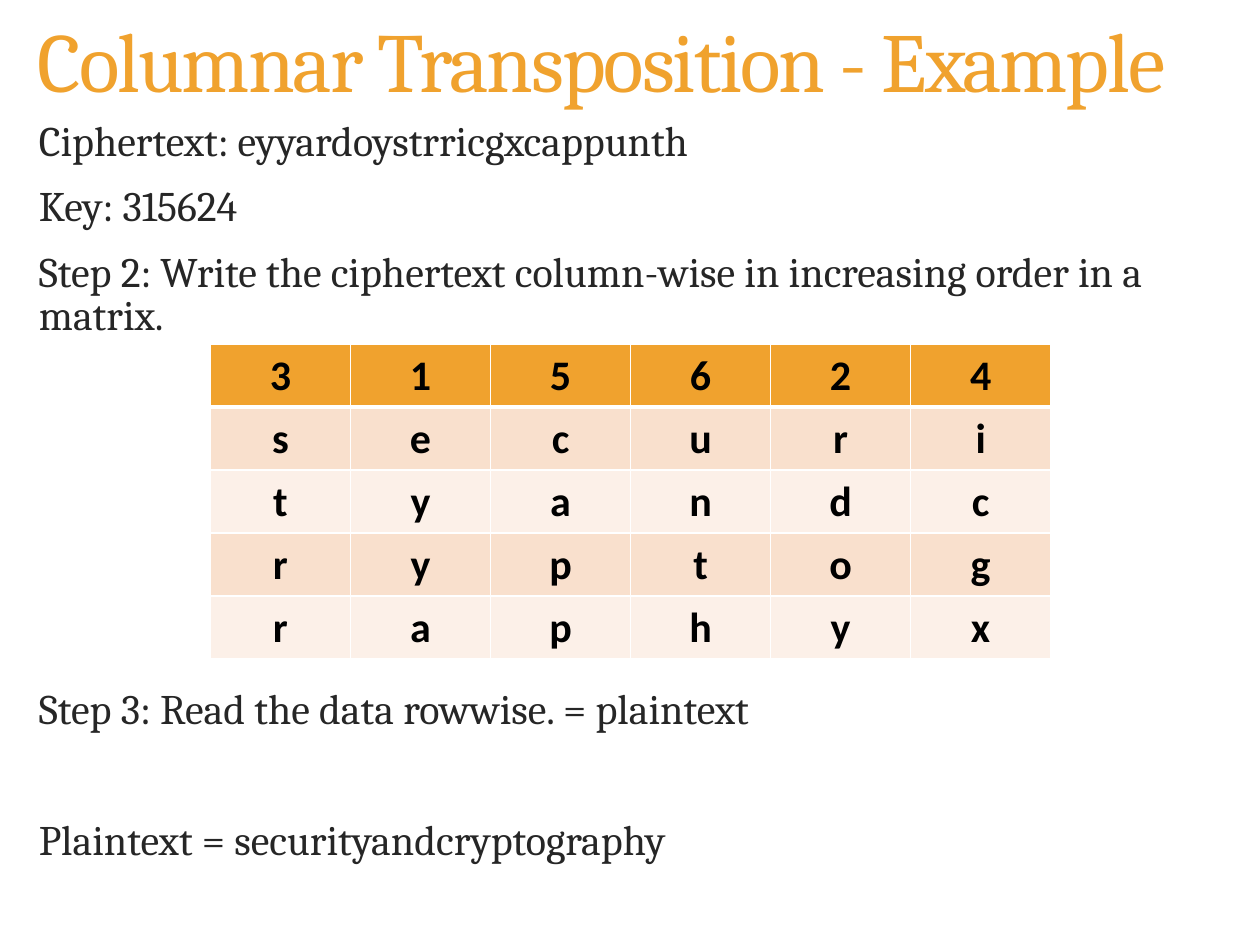
import pptx
import pptx.util
import pptx.dml.color
import pptx.enum.text
import pptx.oxml
import pptx.oxml.ns
from lxml import etree

Inches, Pt = pptx.util.Inches, pptx.util.Pt

COLORS = {
    "accent": "F0A22E",
    "text": "262626",
    "cell": "000000",
    "odd": "F9E0CD",
    "even": "FCF0E8",
    "border": "FFFFFF",
}
TITLE = "Columnar Transposition - Example"
STEPS = [
    ("Ciphertext: eyyardoystrricgxcappunth", 13),
    ("Key: 315624", 13),
    ("Step 2: Write the ciphertext column-wise in increasing order in a matrix.", 13),
    ("Step 3: Read the data rowwise. = plaintext", 200.5),
    ("Plaintext = securityandcryptography", 50.5),
]
KEY = "315624"
PLAINTEXT = "securityandcryptographyx"
MATRIX = [KEY] + [PLAINTEXT[i:i + len(KEY)] for i in range(0, len(PLAINTEXT), len(KEY))]
TABLE_LEFT, TABLE_TOP, TABLE_WIDTH, ROW_HEIGHT = 1.67, 2.73, 6.67, 0.5


def style_paragraph(paragraph, font_name, size, color, bold=False):
    for run in paragraph.runs:
        run.font.name = font_name
        run.font.size = Pt(size)
        run.font.bold = bold
        run.font.color.rgb = pptx.dml.color.RGBColor.from_string(COLORS[color])


def set_borders(cell, bottom_width, top_width):
    properties = cell._tc.get_or_add_tcPr()
    widths = {"lnL": 1, "lnR": 1, "lnT": top_width, "lnB": bottom_width}
    for position, (side, width) in enumerate(widths.items()):
        line = etree.Element(pptx.oxml.ns.qn(f"a:{side}"), w=str(Pt(width)))
        fill = etree.SubElement(line, pptx.oxml.ns.qn("a:solidFill"))
        etree.SubElement(fill, pptx.oxml.ns.qn("a:srgbClr"), val=COLORS["border"])
        properties.insert(position, line)


def add_title(slide):
    title = slide.shapes.title
    title.left, title.top = Inches(0.2), Inches(0)
    title.width, title.height = Inches(9.8), Inches(1.04)
    frame = title.text_frame
    frame.text = TITLE
    frame.auto_size = pptx.enum.text.MSO_AUTO_SIZE.NONE
    frame.vertical_anchor = pptx.enum.text.MSO_ANCHOR.MIDDLE
    paragraph = frame.paragraphs[0]
    paragraph.alignment = pptx.enum.text.PP_ALIGN.LEFT
    paragraph.line_spacing = 0.9
    style_paragraph(paragraph, "Cambria", 48, "accent")
    paragraph.runs[0].font._element.set("spc", "-120")


def add_steps(slide):
    box = slide.shapes.add_textbox(Inches(0.21), Inches(0.92), Inches(9.58), Inches(6))
    frame = box.text_frame
    frame.word_wrap = True
    frame.text = "\n".join(text for text, _ in STEPS)
    for paragraph, (_, space_before) in zip(frame.paragraphs, STEPS):
        paragraph.line_spacing = 0.85
        paragraph.space_before = Pt(space_before)
        style_paragraph(paragraph, "Cambria", 24, "text")


def add_matrix(slide):
    table = slide.shapes.add_table(
        len(MATRIX), len(KEY), Inches(TABLE_LEFT), Inches(TABLE_TOP),
        Inches(TABLE_WIDTH), Inches(ROW_HEIGHT * len(MATRIX))).table
    for row, letters in enumerate(MATRIX):
        fill = "accent" if row == 0 else "odd" if row % 2 else "even"
        for column, letter in enumerate(letters):
            cell = table.cell(row, column)
            cell.text = letter
            paragraph = cell.text_frame.paragraphs[0]
            paragraph.alignment = pptx.enum.text.PP_ALIGN.CENTER
            style_paragraph(paragraph, "Calibri", 24, "cell", bold=True)
            cell.fill.solid()
            cell.fill.fore_color.rgb = pptx.dml.color.RGBColor.from_string(COLORS[fill])
            set_borders(cell, 3 if row == 0 else 1, 3 if row == 1 else 1)


def main():
    presentation = pptx.Presentation()
    presentation.slide_width, presentation.slide_height = Inches(10), Inches(7.5)
    slide = presentation.slides.add_slide(presentation.slide_layouts[5])
    add_title(slide)
    add_steps(slide)
    add_matrix(slide)
    presentation.save("out.pptx")


if __name__ == "__main__":
    main()
